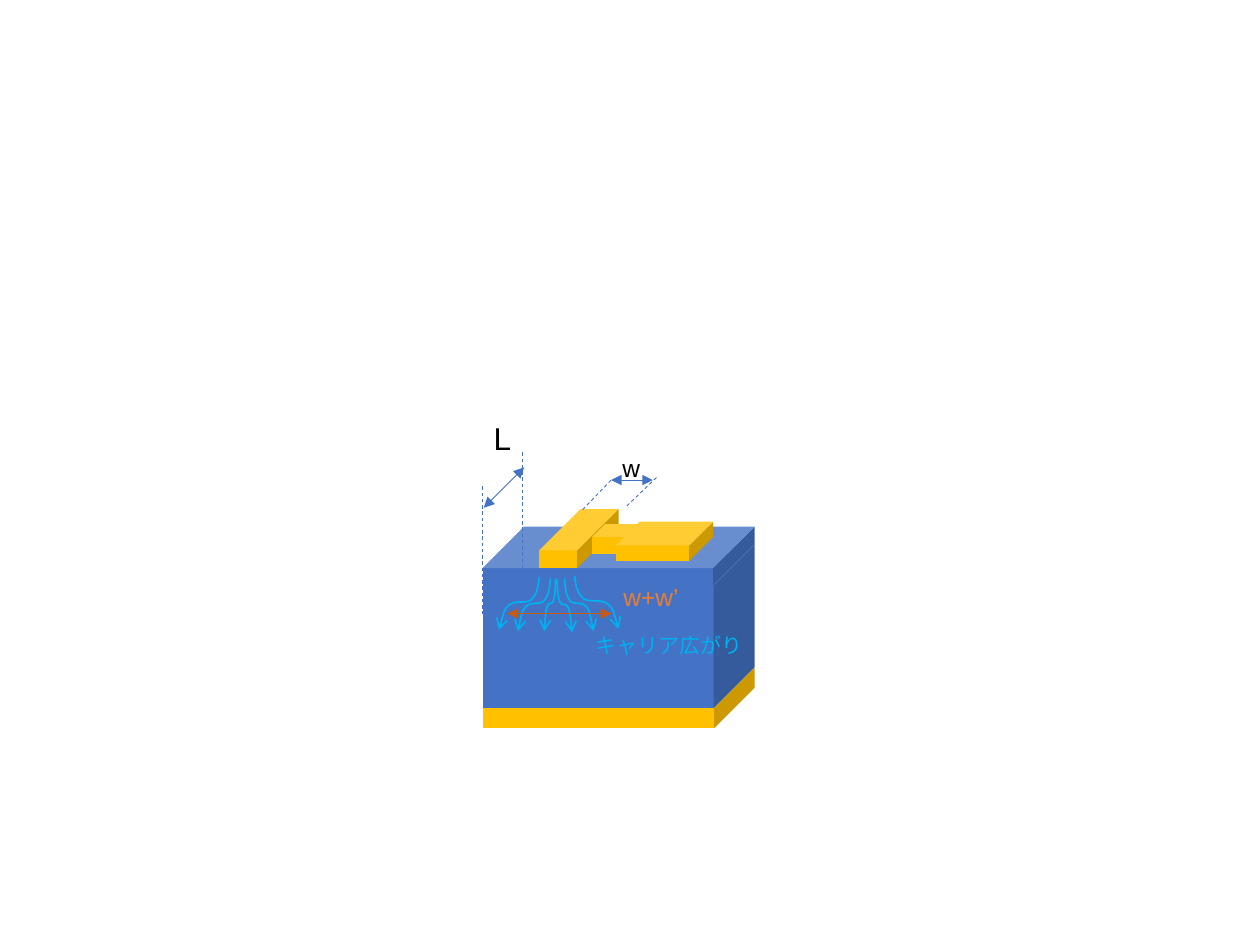
from dataclasses import dataclass

from lxml.etree import SubElement
from pptx import Presentation
from pptx.dml.color import RGBColor
from pptx.enum.dml import MSO_LINE
from pptx.enum.shapes import MSO_CONNECTOR, MSO_SHAPE
from pptx.oxml.ns import qn
from pptx.util import Inches, Pt


@dataclass(frozen=True)
class Theme:
    font: str = "Arial"
    black: str = "000000"
    gold: str = "FFC000"
    blue: str = "4472C4"
    cyan: str = "00B0F0"
    orange: str = "ED7D31"
    rust: str = "C55A11"
    large: int = 18
    medium: int = 14
    small: int = 12
    thin: float = 0.5
    flow: float = 1


@dataclass(frozen=True)
class Block:
    left: float
    top: float
    width: float
    height: float
    depth: float  # share of the shorter side
    color: str


@dataclass(frozen=True)
class Label:
    text: str
    left: float
    top: float
    width: float
    height: float
    size: int
    color: str


@dataclass(frozen=True)
class Measure:
    start: tuple[float, float]
    end: tuple[float, float]
    color: str
    dashed: bool = False
    width: float = 0.5


@dataclass(frozen=True)
class Flow:
    left: float
    top: float
    reach: float  # negative spreads to the left


THEME = Theme()
FLOW_DROP = 0.42
# Flow outline in shares of reach and drop: a start, then three Bezier pieces
FLOW_SHARES = [
    (0.0, 0.0),
    (0.03, 0.21), (0.07, 0.34), (0.20, 0.43),
    (0.32, 0.51), (0.62, 0.43), (0.75, 0.53),
    (0.89, 0.62), (1.0, 1.0), (1.0, 1.0),
]

# Semiconductor layers and electrodes, from back to front
BLOCKS = [
    Block(3.83, 5.30, 2.16, 0.48, 0.669, THEME.gold),
    Block(3.83, 4.32, 2.16, 1.30, 0.25, THEME.blue),
    Block(4.28, 4.19, 0.63, 0.47, 0.701, THEME.blue),
    Block(3.83, 4.18, 2.16, 0.47, 0.701, THEME.blue),
    Block(4.28, 4.04, 0.63, 0.47, 0.699, THEME.gold),
    Block(4.70, 4.16, 0.37, 0.24, 0.426, THEME.gold),
    Block(4.89, 4.14, 0.77, 0.31, 0.607, THEME.gold),
]
# Dimension arrows and their dashed guides
MEASURES = [
    Measure((3.84, 4.03), (4.16, 3.71), THEME.blue),
    Measure((4.15, 3.59), (4.15, 4.60), THEME.blue, dashed=True),
    Measure((3.83, 3.86), (3.83, 4.87), THEME.blue, dashed=True),
    Measure((4.85, 3.81), (5.18, 3.81), THEME.blue),
    Measure((4.85, 3.81), (4.61, 4.06), THEME.blue, dashed=True),
    Measure((5.21, 3.79), (4.96, 4.03), THEME.blue, dashed=True),
]
SPREAD = Measure((4.03, 4.87), (4.85, 4.87), THEME.rust, width=1)
FLOWS = [
    Flow(4.56, 4.57, 0.35),
    Flow(4.28, 4.58, -0.32),
    Flow(4.48, 4.59, 0.23),
    Flow(4.42, 4.60, 0.12),
    Flow(4.37, 4.59, -0.26),
    Flow(4.41, 4.59, -0.09),
]
SIZE_LABELS = [
    Label("w", 4.84, 3.55, 0.29, 0.26, THEME.medium, THEME.black),
    Label(" L", 3.75, 3.28, 0.42, 0.31, THEME.large, THEME.black),
]
SPREAD_LABEL = Label("w+w’", 4.85, 4.57, 1.17, 0.34, THEME.medium, THEME.orange)
CARRIER_LABEL = Label("キャリア広がり", 4.63, 4.97, 2.08, 0.30, THEME.small, THEME.cyan)


def draw_label(slide, label: Label) -> None:
    box = slide.shapes.add_textbox(
        *map(Inches, (label.left, label.top, label.width, label.height)))
    box.text_frame.word_wrap = True
    box.text_frame.text = label.text
    font = box.text_frame.paragraphs[0].runs[0].font
    font.name = THEME.font
    font.size = Pt(label.size)
    font.color.rgb = RGBColor.from_string(label.color)


def draw_block(slide, block: Block) -> None:
    shape = slide.shapes.add_shape(
        MSO_SHAPE.CUBE,
        *map(Inches, (block.left, block.top, block.width, block.height)))
    shape.adjustments[0] = block.depth
    shape.shadow.inherit = False
    shape.fill.solid()
    shape.fill.fore_color.rgb = RGBColor.from_string(block.color)
    shape.line.fill.background()


def style_line(shape, color: str, width: float) -> None:
    shape.line.color.rgb = RGBColor.from_string(color)
    shape.line.width = Pt(width)


def add_arrowhead(shape, end: str, kind: str) -> None:
    outline = shape.line._get_or_add_ln()
    SubElement(outline, qn(f"a:{end}"), type=kind)


def draw_measure(slide, measure: Measure) -> None:
    connector = slide.shapes.add_connector(
        MSO_CONNECTOR.STRAIGHT, *map(Inches, measure.start + measure.end))
    style_line(connector, measure.color, measure.width)
    if measure.dashed:
        connector.line.dash_style = MSO_LINE.DASH
    else:
        for end in ("headEnd", "tailEnd"):
            add_arrowhead(connector, end, "triangle")
    SubElement(connector._element.spPr, qn("a:effectLst"))


def bend_segments(shape) -> None:
    """Turn every three line segments into one Bezier piece."""
    outline = next(shape._element.iter(qn("a:path")))
    segments = outline.findall(qn("a:lnTo"))
    for first in range(0, len(segments), 3):
        curve = SubElement(outline, qn("a:cubicBezTo"))
        for segment in segments[first:first + 3]:
            curve.append(segment[0])
            outline.remove(segment)


def draw_flow(slide, flow: Flow) -> None:
    first, *others = [
        (Inches(flow.left + x * flow.reach), Inches(flow.top + y * FLOW_DROP))
        for x, y in FLOW_SHARES]
    builder = slide.shapes.build_freeform(*first)
    builder.add_line_segments(others, close=False)
    shape = builder.convert_to_shape()
    bend_segments(shape)
    shape.shadow.inherit = False
    shape.fill.background()
    style_line(shape, THEME.cyan, THEME.flow)
    add_arrowhead(shape, "tailEnd", "arrow")


presentation = Presentation()
presentation.slide_width, presentation.slide_height = Inches(10), Inches(7.5)
slide = presentation.slides.add_slide(presentation.slide_layouts[6])

# Device with its dimensions
for size_label in SIZE_LABELS:
    draw_label(slide, size_label)
for device_block in BLOCKS:
    draw_block(slide, device_block)
for device_measure in MEASURES:
    draw_measure(slide, device_measure)

# Carrier spreading below the electrode
for carrier_flow in FLOWS:
    draw_flow(slide, carrier_flow)
draw_label(slide, SPREAD_LABEL)
draw_measure(slide, SPREAD)
draw_label(slide, CARRIER_LABEL)

presentation.save("out.pptx")
